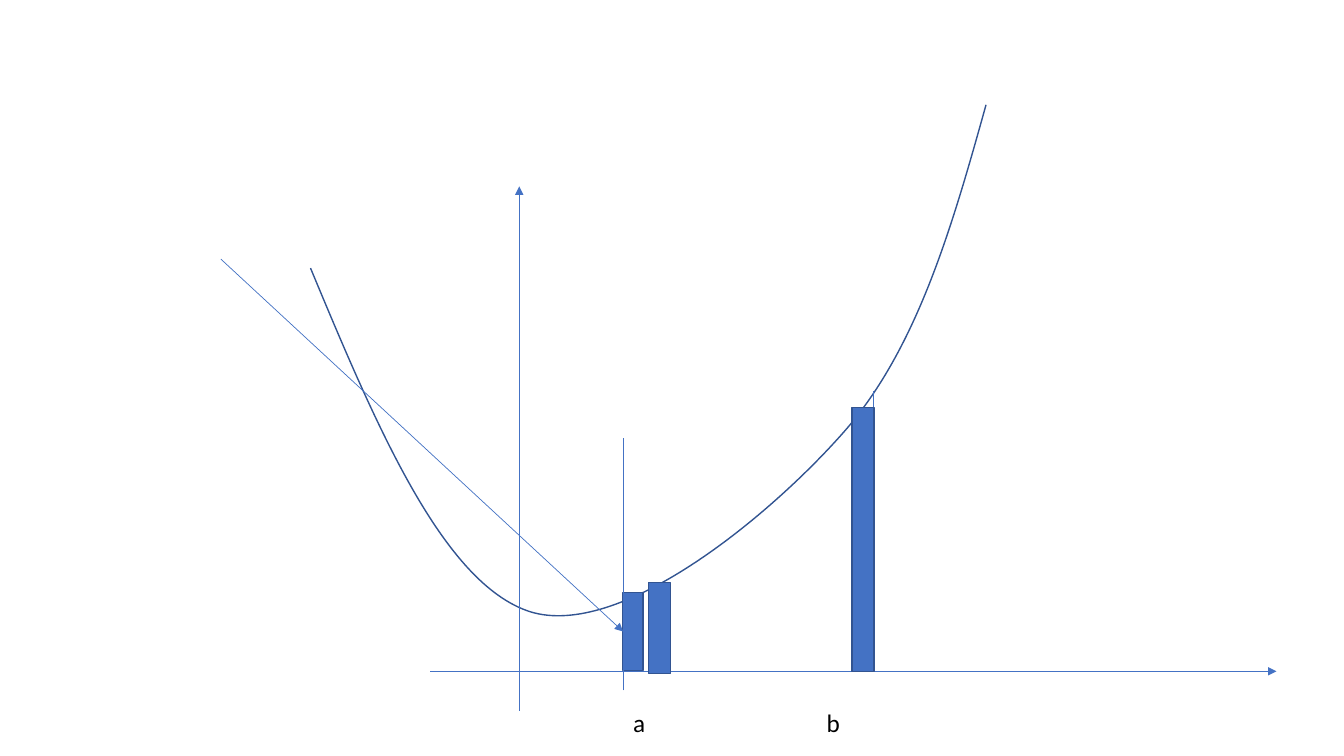
from lxml import etree
from pptx import Presentation
from pptx import util as u
from pptx.dml.color import RGBColor
from pptx.enum import shapes, text
from pptx.oxml import ns

BLUE = RGBColor(0x44, 0x72, 0xC4)
DARK_BLUE = RGBColor(0x32, 0x54, 0x91)
BLACK = RGBColor(0, 0, 0)


class Diagram:
    font = "Calibri"
    font_size = u.Pt(18)
    thin = u.Pt(0.5)
    outline = u.Pt(1)

    def __init__(self, slide):
        self.shapes = slide.shapes

    def curve(self, points, height):
        start, *controls = [(u.Inches(x), u.Inches(y)) for x, y in points]
        builder = self.shapes.build_freeform(*start)
        builder.add_line_segments(controls, close=False)
        graph = builder.convert_to_shape()
        graph.height = u.Inches(height)
        outline = graph._element.find(".//" + ns.qn("a:path"))
        outline.set("h", str(graph.height))
        segments = outline.findall(ns.qn("a:lnTo"))
        for first in range(0, len(segments), 3):
            bezier = etree.SubElement(outline, ns.qn("a:cubicBezTo"))
            for segment in segments[first:first + 3]:
                bezier.append(segment[0])
                outline.remove(segment)
        graph.shadow.inherit = False
        graph.fill.background()
        graph.line.color.rgb = DARK_BLUE
        graph.line.width = self.outline

    def line(self, start, end, arrow=False):
        ends = [u.Inches(value) for value in (*start, *end)]
        connector = self.shapes.add_connector(shapes.MSO_CONNECTOR.STRAIGHT, *ends)
        connector.line.color.rgb = BLUE
        connector.line.width = self.thin
        if arrow:
            stroke = connector.line._get_or_add_ln()
            etree.SubElement(stroke, ns.qn("a:tailEnd"), type="triangle")
        etree.SubElement(connector._element.spPr, ns.qn("a:effectLst"))
        return connector

    def bar(self, *box):
        bar = self.shapes.add_shape(
            shapes.MSO_SHAPE.RECTANGLE, *[u.Inches(value) for value in box])
        bar.shadow.inherit = False
        bar.fill.solid()
        bar.fill.fore_color.rgb = BLUE
        bar.line.color.rgb = DARK_BLUE
        bar.line.width = self.outline
        return bar

    def labels(self, words, box, tab):
        frame = self.shapes.add_textbox(
            *[u.Inches(value) for value in box]).text_frame
        frame.word_wrap = True
        frame.auto_size = text.MSO_AUTO_SIZE.SHAPE_TO_FIT_TEXT
        paragraph = frame.paragraphs[0]
        paragraph.text = "\t".join(words)
        tabs = etree.SubElement(
            paragraph._p.get_or_add_pPr(), ns.qn("a:tabLst"))
        etree.SubElement(
            tabs, ns.qn("a:tab"), pos=str(u.Inches(tab)), algn="l")
        for run in paragraph.runs:
            run.font.name = self.font
            run.font.size = self.font_size
            run.font.color.rgb = BLACK


def main():
    deck = Presentation()
    deck.slide_width = u.Inches(13.33)
    deck.slide_height = u.Inches(7.5)
    diagram = Diagram(deck.slides.add_slide(deck.slide_layouts[6]))

    axis_y, a_x, b_x = 6.66, 6.18, 8.66
    diagram.curve([
        (3.08, 2.66),
        (3.73, 4.22), (4.39, 5.79), (5.26, 6.07),
        (6.14, 6.34), (7.59, 5.16), (8.34, 4.32),
        (9.09, 3.49), (9.44, 2.26), (9.78, 1.04),
    ], height=5.06)
    diagram.line((a_x, 5.03), (a_x, 6.73))
    diagram.line((b_x, 3.88), (b_x, axis_y))
    diagram.line((4.27, axis_y), (12.66, axis_y), arrow=True)
    diagram.line((5.15, 7.05), (5.15, 1.85), arrow=True)
    diagram.labels(["a", "b"], (a_x, 6.97, 2.31, 0.4), tab=1.92)
    first_bar = diagram.bar(a_x, 5.88, 0.2, 0.77)
    diagram.bar(6.43, 5.78, 0.22, 0.9)
    diagram.line((a_x, 6.85), (a_x, 4.35))
    diagram.bar(8.45, 4.04, 0.22, 2.62)
    pointer = diagram.line((2.19, 2.57), (a_x, 6.27), arrow=True)
    pointer.end_connect(first_bar, 1)

    deck.save("out.pptx")


if __name__ == "__main__":
    main()
